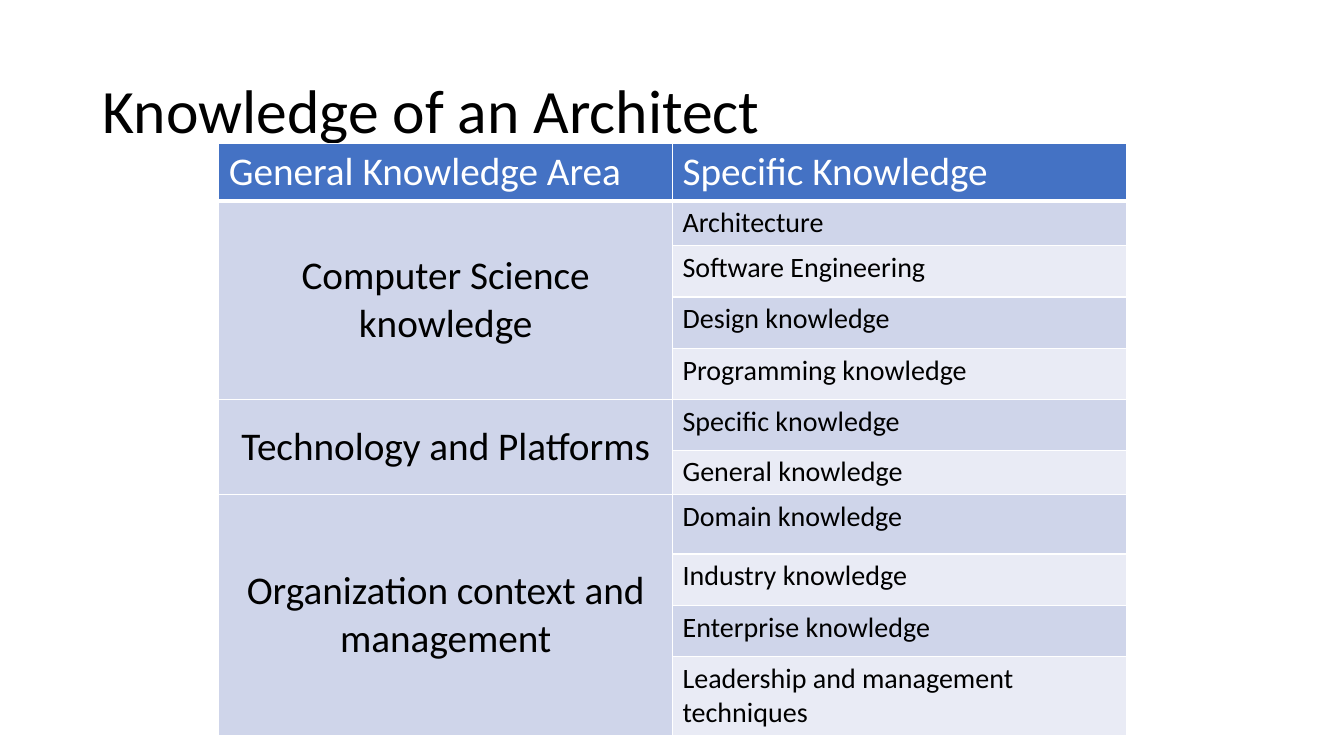
from lxml import etree
from pptx import Presentation
from pptx import util as u
from pptx.dml.color import RGBColor
from pptx.enum import text
from pptx.oxml import ns

HEADINGS = ("General Knowledge Area", "Specific Knowledge")
KNOWLEDGE_AREAS = {
    "Computer Science knowledge": (
        "Architecture", "Software Engineering",
        "Design knowledge", "Programming knowledge"),
    "Technology and Platforms": ("Specific knowledge", "General knowledge"),
    "Organization context and management": (
        "Domain knowledge", "Industry knowledge", "Enterprise knowledge",
        "Leadership and management techniques"),
}
ROW_HEIGHTS = (0.41, 0.41, 0.51, 0.51, 0.51, 0.5, 0.38, 0.59, 0.51, 0.51, 0.51)


def color(value):
    return RGBColor.from_string(value)


class SlideBuilder:
    font = "Calibri"
    white, black = "FFFFFF", "000000"
    header_fill = "4472C4"
    bands = ("CFD5EA", "E9EBF5")

    def __init__(self, presentation):
        self.slide = presentation.slides.add_slide(presentation.slide_layouts[5])

    def add_text(self, paragraph, content, size, font_color, **layout):
        run = paragraph.add_run()
        run.text = content
        values = {"name": self.font, "size": u.Pt(size), "bold": False}
        for name, value in values.items():
            setattr(run.font, name, value)
        run.font.color.rgb = color(font_color)
        for name, value in layout.items():
            setattr(paragraph, name, value)

    def title(self, content, left, top, width, height):
        shape = self.slide.shapes.title
        box = {"left": left, "top": top, "width": width, "height": height}
        for name, value in box.items():
            setattr(shape, name, u.Inches(value))
        frame = shape.text_frame
        frame.word_wrap = True
        frame.auto_size = text.MSO_AUTO_SIZE.NONE
        frame.vertical_anchor = text.MSO_ANCHOR.MIDDLE
        self.add_text(frame.paragraphs[0], content, 44, self.black,
                      alignment=text.PP_ALIGN.LEFT, line_spacing=0.9)

    def borders(self, cell, bottom=1):
        """Draw white rules round a cell, with widths in points."""
        properties = cell._tc.get_or_add_tcPr()
        sides = {"lnL": 1, "lnR": 1, "lnT": 1, "lnB": bottom}
        for position, (side, width) in enumerate(sides.items()):
            line = etree.Element(ns.qn("a:" + side), w=str(u.Pt(width)))
            fill = etree.SubElement(line, ns.qn("a:solidFill"))
            etree.SubElement(fill, ns.qn("a:srgbClr"), val=self.white)
            properties.insert(position, line)

    def cell(self, cell, content, size, fill, font_color=None, centred=False, bottom=1):
        cell.fill.solid()
        cell.fill.fore_color.rgb = color(fill)
        self.borders(cell, bottom)
        alignment = text.PP_ALIGN.LEFT
        if centred:
            alignment = text.PP_ALIGN.CENTER
            cell.vertical_anchor = text.MSO_ANCHOR.MIDDLE
        self.add_text(cell.text_frame.paragraphs[0], content, size,
                      font_color or self.black, alignment=alignment)

    def knowledge_table(self, left, top, width):
        frame = self.slide.shapes.add_table(
            len(ROW_HEIGHTS), len(HEADINGS), u.Inches(left), u.Inches(top),
            u.Inches(width), u.Inches(sum(ROW_HEIGHTS)))
        table = frame.table
        for row, height in zip(table.rows, ROW_HEIGHTS):
            row.height = u.Inches(height)
        for column, heading in enumerate(HEADINGS):
            self.cell(table.cell(0, column), heading, 28, self.header_fill,
                      self.white, bottom=3)
        first = 1
        for area, topics in KNOWLEDGE_AREAS.items():
            area_cell = table.cell(first, 0)
            area_cell.merge(table.cell(first + len(topics) - 1, 0))
            self.cell(area_cell, area, 28, self.bands[0], centred=True)
            for row, topic in enumerate(topics, first):
                self.cell(table.cell(row, 1), topic, 20, self.bands[(row - 1) % 2])
            first += len(topics)


def main():
    presentation = Presentation()
    presentation.slide_width = u.Inches(13.33)
    presentation.slide_height = u.Inches(7.5)
    builder = SlideBuilder(presentation)
    builder.title("Knowledge of an Architect", 0.92, 0.4, 11.5, 1.45)
    builder.knowledge_table(2.17, 1.42, 9)
    presentation.save("out.pptx")


if __name__ == "__main__":
    main()
